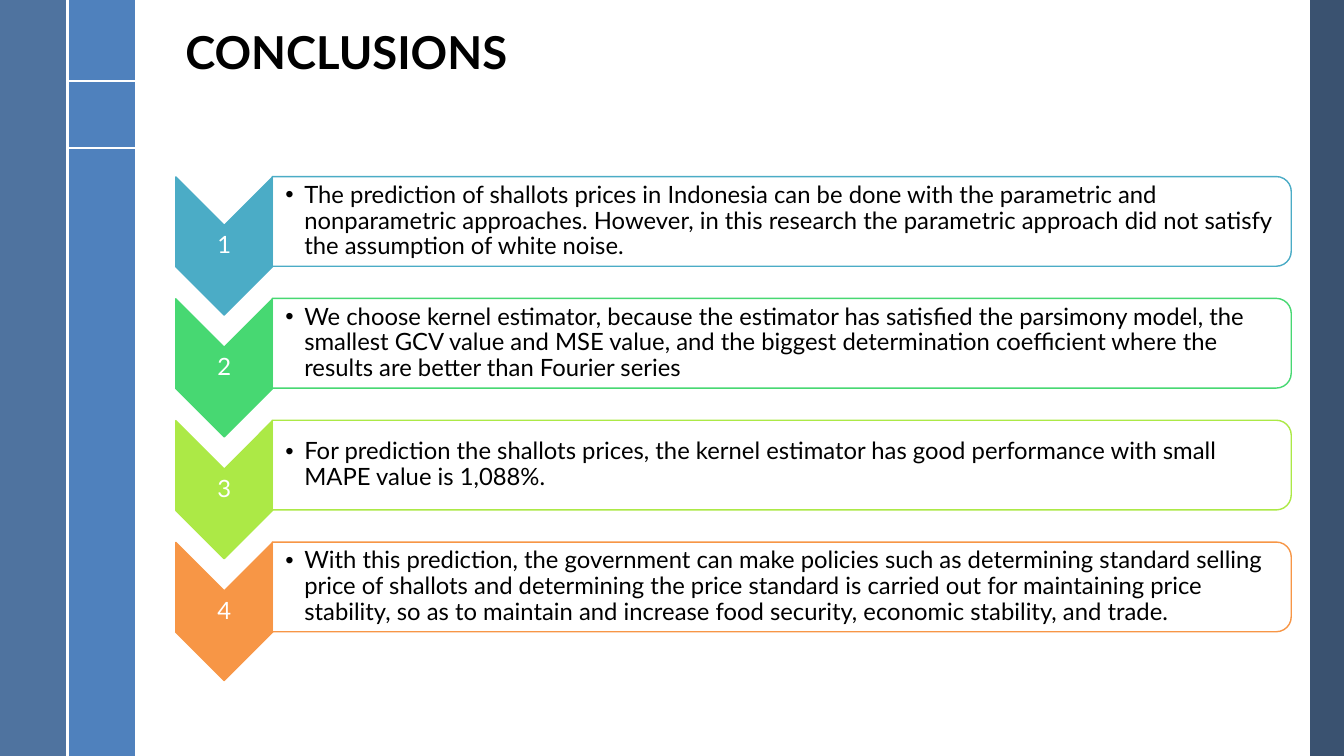
from lxml.etree import SubElement
from pptx import Presentation
from pptx.dml.color import RGBColor
from pptx.enum.shapes import MSO_CONNECTOR as Connector, MSO_SHAPE as Shape
from pptx.enum.text import MSO_ANCHOR as Anchor, PP_ALIGN as Align
from pptx.oxml.ns import qn
from pptx.util import Cm, Pt

TITLE = "CONCLUSIONS"
CONCLUSIONS = [
    ("4BACC6", "The prediction of shallots prices in Indonesia can be done with the parametric and "
     "nonparametric approaches. However, in this research the parametric approach did not satisfy "
     "the assumption of white noise."),
    ("47D872", "We choose kernel estimator, because the estimator has satisfied the parsimony model, "
     "the smallest GCV value and MSE value, and the biggest determination coefficient where the "
     "results are better than Fourier series"),
    ("ACE946", "For prediction the shallots prices, the kernel estimator has good performance with "
     "small MAPE value is 1,088%."),
    ("F79646", "With this prediction, the government can make policies such as determining standard "
     "selling price of shallots and determining the price standard is carried out for maintaining "
     "price stability, so as to maintain and increase food security, economic stability, and trade."),
]
WIDTH, HEIGHT, BAND = 33.87, 19.05, 1.7
BANDS = [(33.02, 0.85, "254061", 90), (BAND, BAND, "4F81BD", 100), (0, BAND, "376092", 88)]
RULES = [(BAND, 2.05, 2 * BAND, 2.05), (BAND, 3.74, 2 * BAND, 3.74), (BAND, 0, BAND, HEIGHT)]
PITCH = 3.07
CHEVRON_X, CHEVRON_Y = 5.65, 6.2
PANEL_X, PANEL_Y = 19.7, 5.58


def color(value):
    return RGBColor.from_string(value)


def add_block(kind, left, top, width, height, fill, opacity=100, line=None):
    block = page.shapes.add_shape(kind, Cm(left), Cm(top), Cm(width), Cm(height))
    block.shadow.inherit = False
    block.fill.solid()
    block.fill.fore_color.rgb = color(fill)
    if opacity < 100:
        tint = block.fill._xPr.find(qn("a:solidFill"))[0]
        SubElement(tint, qn("a:alpha"), val=str(opacity * 1000))
    if line:
        block.line.color.rgb = color(line)
        block.line.width = Pt(1)
    else:
        block.line.fill.background()


def add_turned(kind, center_x, center_y, width, height, *style):
    add_block(kind, center_x - width / 2, center_y - height / 2, width, height, *style)
    page.shapes[-1].rotation = 90


def add_rule(*ends):
    rule = page.shapes.add_connector(Connector.STRAIGHT, *map(Cm, ends))
    rule.line.color.rgb = color("FFFFFF")
    rule.line.width = Pt(1.5)
    SubElement(rule._element.spPr, qn("a:effectLst"))


def add_text(text, left, center_y, width, height, size, fill, inset):
    box = page.shapes.add_textbox(Cm(left), Cm(center_y - height / 2), Cm(width), Cm(height))
    frame = box.text_frame
    frame.word_wrap = True
    frame.vertical_anchor = Anchor.MIDDLE
    frame.margin_left = Cm(inset)
    frame.margin_right = frame.margin_top = frame.margin_bottom = Cm(0.03)
    frame.text = text
    para = frame.paragraphs[0]
    para.line_spacing = 0.9
    font = para.runs[0].font
    font.name, font.size, font.color.rgb = "Lato", Pt(size), color(fill)
    return para


def add_bullet(para):
    properties = para._p.get_or_add_pPr()
    properties.set("marL", str(Cm(0.48)))
    properties.set("indent", str(Cm(-0.48)))
    SubElement(properties, qn("a:buFont"), typeface="Arial")
    SubElement(properties, qn("a:buChar"), char="•")


def main():
    """Build the conclusions slide and save it."""
    for left, width, fill, opacity in BANDS:
        add_block(Shape.RECTANGLE, left, 0, width, HEIGHT, fill, opacity)
    for ends in RULES:
        add_rule(*ends)
    for index, (accent, text) in enumerate(CONCLUSIONS):
        chevron_y, panel_y = CHEVRON_Y + index * PITCH, PANEL_Y + index * PITCH
        add_turned(Shape.CHEVRON, CHEVRON_X, chevron_y, 3.48, 2.44, accent, 100, accent)
        number = add_text(str(index + 1), CHEVRON_X - 1.22, chevron_y, 2.44, 1.04, 17, "FFFFFF", 0.03)
        number.alignment = Align.CENTER
        add_turned(Shape.ROUND_2_SAME_RECTANGLE, PANEL_X, panel_y, 2.26, 25.68, "FFFFFF", 90, accent)
        add_bullet(add_text(text, 6.86, panel_y, 25.55, 2.03, 17, "000000", 0.33))
    title = add_text(TITLE, 4.42, 1.37, 28.5, 1.6, 32.4, "000000", 0.25)
    title.runs[0].font.bold = True
    deck.save("out.pptx")


deck = Presentation()
deck.slide_width, deck.slide_height = Cm(WIDTH), Cm(HEIGHT)
page = deck.slides.add_slide(deck.slide_layouts[6])

if __name__ == "__main__":
    main()
